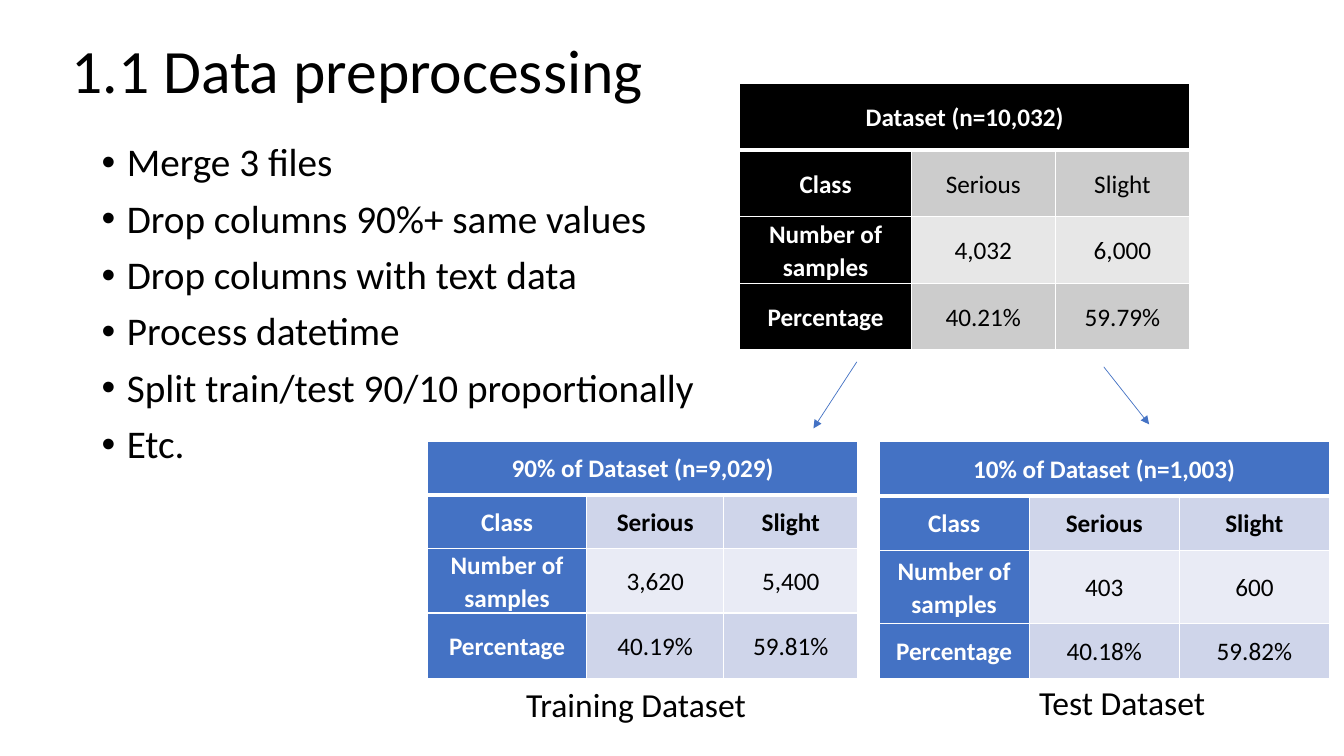
from lxml import etree
from pptx import Presentation
from pptx import util as u
from pptx.dml.color import RGBColor
from pptx.enum import shapes, text
from pptx.oxml import ns

CELL = 0.1  # grid unit in inches: the slide has 133.3 columns and 75 rows
BLACK, WHITE, BLUE = "000000", "FFFFFF", "4472C4"


def colour(hex_value):
    return RGBColor.from_string(hex_value)


def grid(count):
    return u.Inches(count * CELL)


def apply(target, values):
    for name, value in values.items():
        setattr(target, name, value)


def child(parent, tag, **attributes):
    return etree.SubElement(parent, ns.qn(tag), attributes)


class Deck:
    font = "Calibri"
    title_format = {"line_spacing": 0.9}
    bullet_format = {"line_spacing": 0.9, "space_before": u.Pt(10)}
    cell_format = {"alignment": text.PP_ALIGN.CENTER, "line_spacing": 1.07}

    def __init__(self):
        self.presentation = Presentation()
        apply(self.presentation, {"slide_width": grid(133.33), "slide_height": grid(75)})
        self.slide = self.presentation.slides.add_slide(self.presentation.slide_layouts[6])

    def words(self, paragraph, wording, size, ink=BLACK, bold=False, layout=None):
        apply(paragraph, layout or {})
        run = paragraph.add_run()
        run.text = wording
        apply(run.font, {"name": self.font, "size": u.Pt(size), "bold": bold})
        run.font.color.rgb = colour(ink)

    def bullet(self, paragraph, symbol):
        indent = u.Inches(0.25)
        properties = paragraph._p.get_or_add_pPr()
        properties.set("marL", str(indent))
        properties.set("indent", str(-indent))
        child(properties, "a:buFont", typeface="Arial")
        child(properties, "a:buChar", char=symbol)

    def text(self, place, lines, size, layout=None, symbol=None, **frame_format):
        frame = self.slide.shapes.add_textbox(*map(grid, place)).text_frame
        apply(frame, {"word_wrap": True, **frame_format})
        for index, line in enumerate(lines):
            paragraph = frame.add_paragraph() if index else frame.paragraphs[0]
            self.words(paragraph, line, size, layout=layout)
            if symbol:
                self.bullet(paragraph, symbol)

    def border(self, cell, row):
        properties = cell._tc.get_or_add_tcPr()
        widths = {"L": 1, "R": 1, "T": 3 if row == 1 else 1, "B": 3 if row == 0 else 1}
        for side, width in widths.items():
            line = child(properties, f"a:ln{side}", w=str(u.Pt(width)))
            child(child(line, "a:solidFill"), "a:srgbClr", val=WHITE)

    def table(self, place, widths, heights, rows, palette, margin=0, bold_classes=True):
        dark, band, pale = palette
        table = self.slide.shapes.add_table(len(rows), len(widths), *map(grid, place)).table
        apply(table, {"first_row": False, "horz_banding": False})
        for column, width in zip(table.columns, widths):
            column.width = grid(width)
        for row, height in zip(table.rows, heights):
            row.height = grid(height)
        table.cell(0, 0).merge(table.cell(0, len(widths) - 1))
        cell_layout = {"margin_left": grid(margin), "margin_right": grid(margin),
                       "margin_top": 0, "margin_bottom": 0,
                       "vertical_anchor": text.MSO_ANCHOR.MIDDLE}
        for r, values in enumerate(rows):
            for c in range(len(widths)):
                cell = table.cell(r, c)
                heading = r == 0 or c == 0
                self.border(cell, r)
                cell.fill.solid()
                cell.fill.fore_color.rgb = colour(dark if heading else band if r % 2 else pale)
                apply(cell, cell_layout)
                if c < len(values):
                    self.words(cell.text_frame.paragraphs[0], values[c], 18,
                               WHITE if heading else BLACK,
                               heading or (r == 1 and bold_classes), self.cell_format)

    def arrow(self, start, end):
        arrow = self.slide.shapes.add_connector(
            shapes.MSO_CONNECTOR.STRAIGHT, *map(grid, start + end))
        arrow.line.width = u.Pt(0.5)
        arrow.line.color.rgb = colour(BLUE)
        properties = arrow._element.spPr
        child(properties.find(ns.qn("a:ln")), "a:tailEnd", type="triangle")
        child(properties, "a:effectLst")


def sample_rows(heading, counts, shares):
    return [[heading], ["Class", "Serious", "Slight"],
            ["Number of samples", *counts], ["Percentage", *shares]]


def main():
    deck = Deck()
    blues = (BLUE, "CFD5EA", "E9EBF5")

    # Title
    deck.text((6.1, 0, 111.9, 14.5), ["1.1 Data preprocessing"], 44, deck.title_format,
              vertical_anchor=text.MSO_ANCHOR.MIDDLE)

    # Full dataset
    deck.table((73.4, 8.3, 44.6, 26.4), (17, 14.3, 13.3), [6.6] * 4,
               sample_rows("Dataset (n=10,032)", ("4,032", "6,000"), ("40.21%", "59.79%")),
               (BLACK, "CCCCCC", "E7E7E7"), bold_classes=False)

    # Training and test splits
    deck.table((42.4, 43.8, 42.7, 23.4), (15.8, 13.6, 13.3), (5.3, 5.3, 6, 6.5),
               sample_rows("90% of Dataset (n=9,029)", ("3,620", "5,400"),
                           ("40.19%", "59.81%")), blues, margin=0.7)
    deck.table((87.2, 43.8, 44.7, 23.4), [14.9] * 3, (5.4, 5.4, 7.3, 5.4),
               sample_rows("10% of Dataset (n=1,003)", ("403", "600"),
                           ("40.18%", "59.82%")), blues, margin=0.7)

    # Arrows from the dataset to its splits
    deck.arrow((85, 35.9), (80.7, 42.5))
    deck.arrow((109.5, 36.4), (114, 42.1))

    # Captions
    fit = text.MSO_AUTO_SIZE.SHAPE_TO_FIT_TEXT
    deck.text((102.1, 67.2, 23.7, 5), ["Test Dataset"], 24, auto_size=fit)
    deck.text((51.2, 67.4, 30.9, 5), ["Training Dataset"], 24, auto_size=fit)

    # Preprocessing steps
    steps = ["Merge 3 files", "Drop columns 90%+ same values", "Drop columns with text data",
             "Process datetime", "Split train/test 90/10 proportionally", "Etc."]
    deck.text((9.1, 13.7, 62.1, 47.6), steps, 28, deck.bullet_format, symbol="•")

    deck.presentation.save("out.pptx")


if __name__ == "__main__":
    main()
